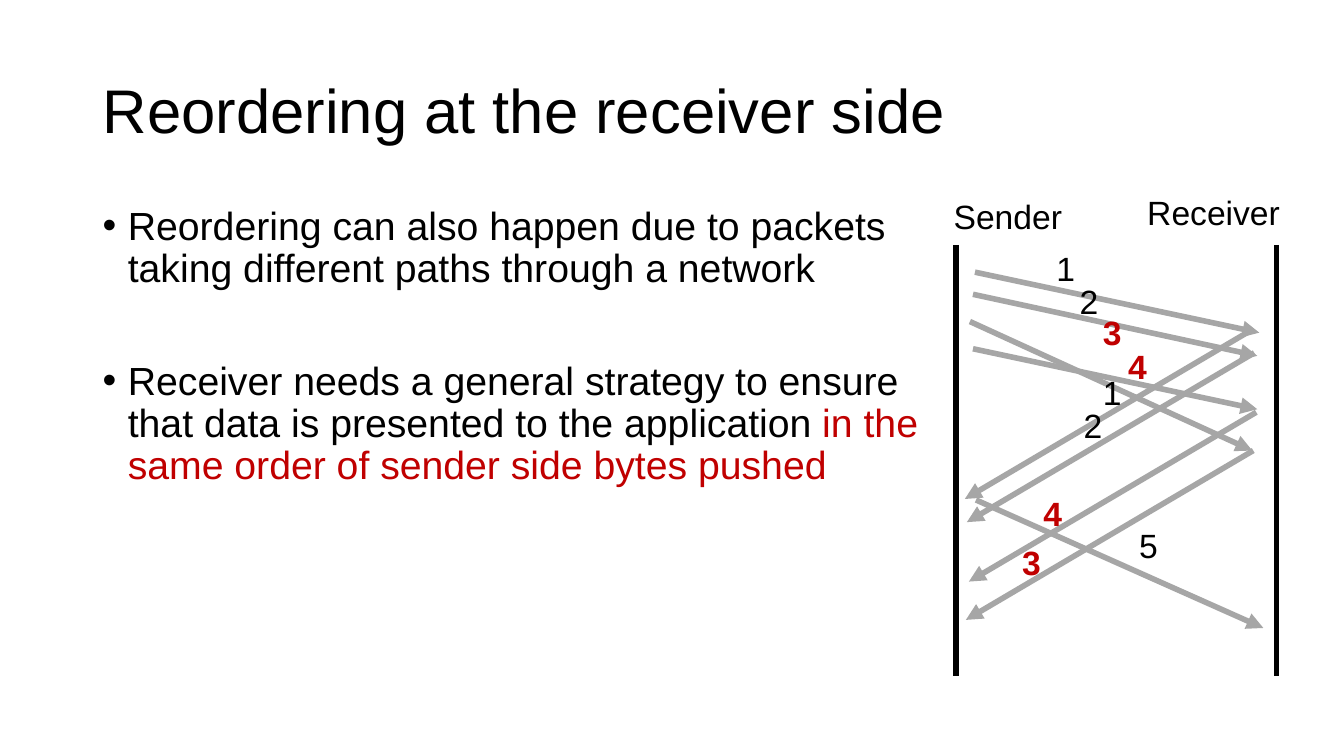
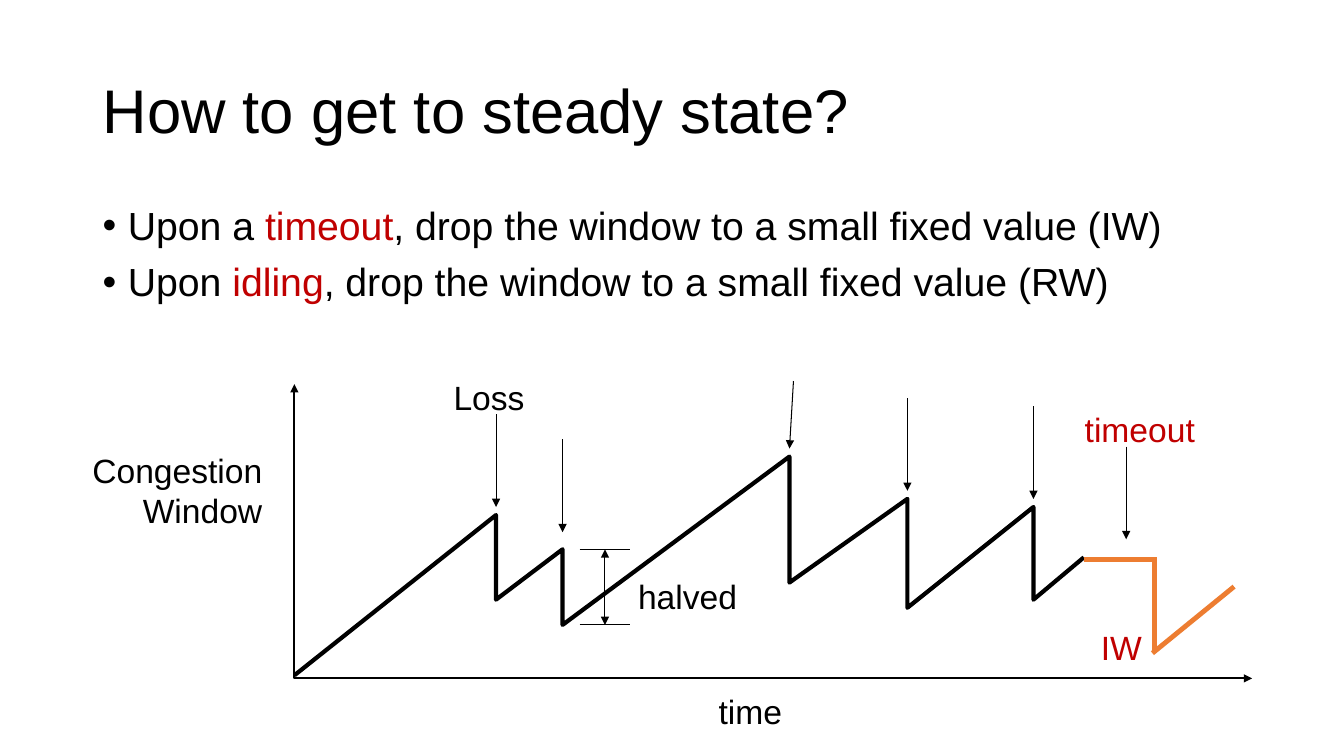
from lxml.etree import SubElement
from pptx import Presentation
from pptx.dml.color import RGBColor
from pptx.enum.shapes import MSO_CONNECTOR
from pptx.enum.text import MSO_ANCHOR, PP_ALIGN
from pptx.oxml.ns import qn
from pptx.util import Inches, Pt

BLACK = RGBColor(0x00, 0x00, 0x00)
RED = RGBColor(0xC0, 0x00, 0x00)
GRAY = RGBColor(0xA6, 0xA6, 0xA6)
ORANGE = RGBColor(0xED, 0x7D, 0x31)
FONT = "Arial"


def write_text(frame, text, size=24, color=BLACK, bold=False, align=PP_ALIGN.LEFT,
               line_spacing=None, gap=0, bullet=None):
    """Write one paragraph per line; parts between asterisks are red."""
    for index, line in enumerate(text.split("\n")):
        paragraph = frame.add_paragraph() if index else frame.paragraphs[0]
        paragraph.alignment = align
        paragraph.line_spacing = line_spacing
        paragraph.space_before = Pt(gap if index else 0)
        if bullet:
            properties = paragraph._p.get_or_add_pPr()
            properties.set("marL", str(Inches(0.25)))
            properties.set("indent", str(-Inches(0.25)))
            SubElement(properties, qn("a:buFont"), typeface=FONT)
            SubElement(properties, qn("a:buChar"), char=bullet)
        for part_index, part in enumerate(line.split("*")):
            if part:
                run = paragraph.add_run()
                run.text = part
                run.font.name = FONT
                run.font.size = Pt(size)
                run.font.bold = bold
                run.font.color.rgb = RED if part_index % 2 else color


class Deck:
    """Holds the shared style and the slide being drawn."""

    def __init__(self):
        self.presentation = Presentation()
        self.presentation.slide_width = Inches(13.33)
        self.presentation.slide_height = Inches(7.5)
        self.slide = None

    def start_slide(self, title):
        self.slide = self.presentation.slides.add_slide(self.presentation.slide_layouts[6])
        self.text(title, 0.92, 0.4, 11.5, 1.45, anchor=MSO_ANCHOR.MIDDLE,
                  size=44, line_spacing=0.9)

    def text(self, text, left, top, width, height=0.5, wrap=True,
             anchor=MSO_ANCHOR.TOP, **text_format):
        box = self.slide.shapes.add_textbox(
            Inches(left), Inches(top), Inches(width), Inches(height))
        box.text_frame.word_wrap = wrap
        box.text_frame.vertical_anchor = anchor
        write_text(box.text_frame, text, **text_format)

    def bullets(self, text, width, gap=10):
        self.text(text, 0.92, 2, width, 4.76, size=28, line_spacing=0.9,
                  gap=gap, bullet="•")

    def outline(self, shape, color, weight, head, tail):
        """Set line colour, weight and arrowheads, without a shadow."""
        shape.line.color.rgb = color
        shape.line.width = Pt(weight)
        properties = shape._element.spPr
        for tag, shown in (("a:headEnd", head), ("a:tailEnd", tail)):
            if shown:
                SubElement(properties.find(qn("a:ln")), qn(tag), type="triangle")
        SubElement(properties, qn("a:effectLst"))

    def line(self, start, end, color=BLACK, weight=0.75, head=False, tail=False):
        connector = self.slide.shapes.add_connector(
            MSO_CONNECTOR.STRAIGHT, *(Inches(value) for value in (*start, *end)))
        self.outline(connector, color, weight, head, tail)

    def polyline(self, points, weight, head=False, tail=False):
        first, *rest = [(Inches(x), Inches(y)) for x, y in points]
        builder = self.slide.shapes.build_freeform(*first)
        builder.add_line_segments(rest, close=False)
        shape = builder.convert_to_shape()
        shape.fill.background()
        self.outline(shape, BLACK, weight, head, tail)


def add_reordering_slide(deck):
    deck.start_slide("Reordering at the receiver side")
    deck.bullets(
        "Reordering can also happen due to packets taking different paths through a network\n"
        "Receiver needs a general strategy to ensure that data is presented to the "
        "application *in the same order of sender side bytes pushed*", 8.33, gap=50)

    deck.text("Sender", 9.36, 1.89, 1.51)
    deck.text("Receiver", 11.28, 1.85, 1.68)
    for timeline_x in (9.48, 12.66):
        deck.line((timeline_x, 2.43), (timeline_x, 6.71), weight=4)

    packets = [((9.67, 2.7), (12.49, 3.3)), ((9.65, 2.92), (12.47, 3.53)),
               ((9.62, 3.19), (12.42, 4.47)), ((9.65, 3.46), (12.47, 4.06)),
               ((9.68, 4.96), (12.53, 6.23))]
    ack_starts = [(12.42, 3.27), (12.44, 3.5), (12.46, 4.09), (12.43, 4.47)]
    acks = [((x, y), (x - 2.85, y + 1.68)) for x, y in ack_starts]
    for start, end in packets + acks:
        deck.line(start, end, color=GRAY, weight=4, tail=True)

    numbers = [("1", 10.38, 2.41), ("2", 10.61, 2.74), ("3", 10.84, 3.05),
               ("4", 11.09, 3.38), ("1", 10.84, 3.64), ("2", 10.65, 3.97),
               ("4", 10.25, 4.84), ("5", 11.2, 5.16), ("3", 10.04, 5.33)]
    for number, left, top in numbers:
        reordered = number in "34"
        deck.text(number, left, top, 0.74, bold=reordered,
                  color=RED if reordered else BLACK)


def add_steady_state_slide(deck):
    deck.start_slide("How to get to steady state?")
    deck.bullets("Upon a *timeout*, drop the window to a small fixed value (IW)\n"
                 "Upon *idling*, drop the window to a small fixed value (RW)", 11.5)

    deck.polyline([(2.92, 3.81), (2.92, 6.73), (12.42, 6.73)], 1.5, head=True, tail=True)
    deck.polyline([(2.92, 6.7), (4.92, 5.11), (4.92, 5.95), (5.58, 5.45), (5.58, 6.2),
                   (7.83, 4.53), (7.83, 5.78), (9, 4.95), (9, 6.03), (10.25, 5.03),
                   (10.25, 5.95), (10.75, 5.53)], 3)
    for start, end in [((10.75, 5.55), (11.48, 5.55)), ((11.45, 5.55), (11.45, 6.48)),
                       ((11.43, 6.48), (12.24, 5.82))]:
        deck.line(start, end, color=ORANGE, weight=3.5)

    for bracket_y in (5.45, 6.2):
        deck.line((5.75, bracket_y), (6.25, bracket_y))
    deck.line((6, 5.45), (6, 6.2), head=True, tail=True)

    for x, top in [(4.92, 4.11), (5.58, 4.36), (9, 3.95), (10.25, 4.03), (11.17, 4.43)]:
        deck.line((x, top), (x, top + 0.92), tail=True)
    deck.line((7.87, 3.78), (7.83, 4.45), tail=True)

    deck.text("Congestion\nWindow", 0.79, 4.41, 1.91, 0.91, wrap=False,
              align=PP_ALIGN.RIGHT)
    for label, left, top, width, color in [
            ("halved", 6.23, 5.66, 1.2, BLACK), ("Loss", 4.4, 3.69, 0.91, BLACK),
            ("time", 7.03, 6.81, 0.84, BLACK), ("timeout", 10.66, 4.01, 1.31, RED),
            ("IW", 10.82, 6.17, 0.61, RED)]:
        deck.text(label, left, top, width, wrap=False, color=color)


def main():
    deck = Deck()
    add_reordering_slide(deck)
    add_steady_state_slide(deck)
    deck.presentation.save("out.pptx")


if __name__ == "__main__":
    main()
